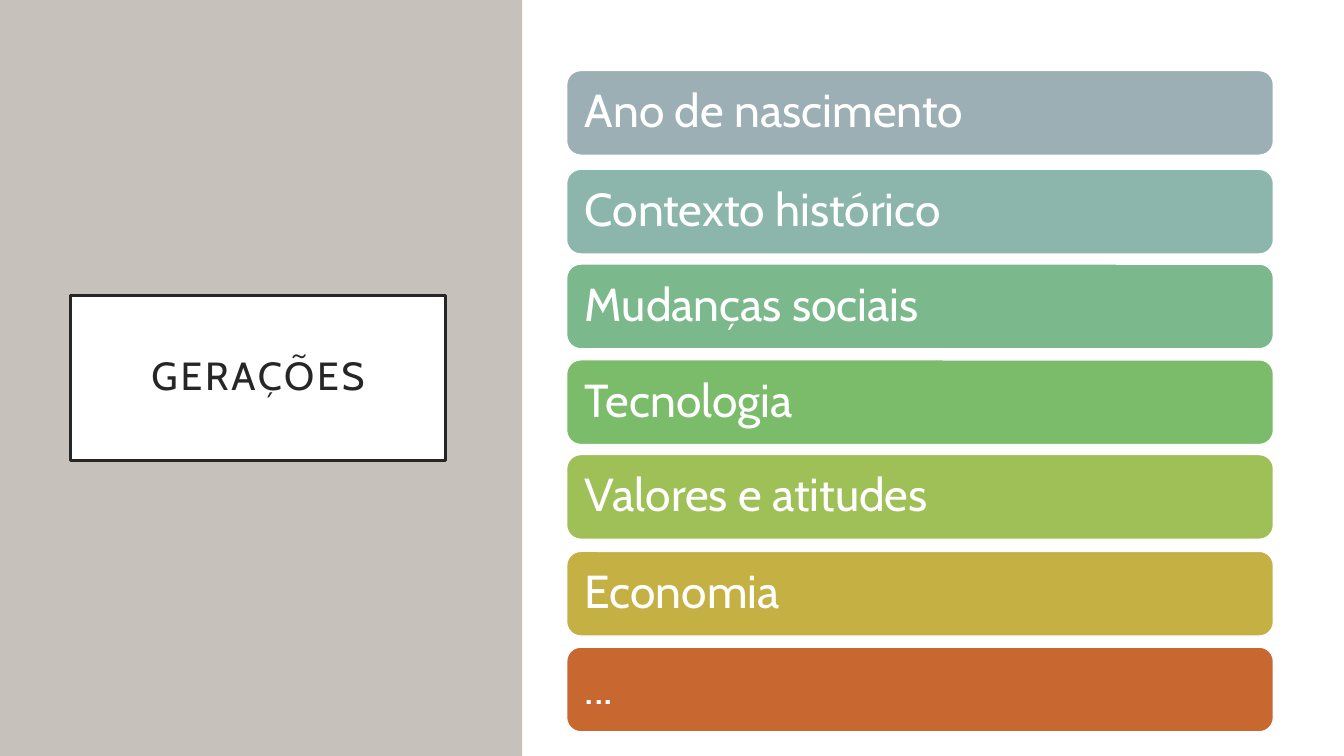
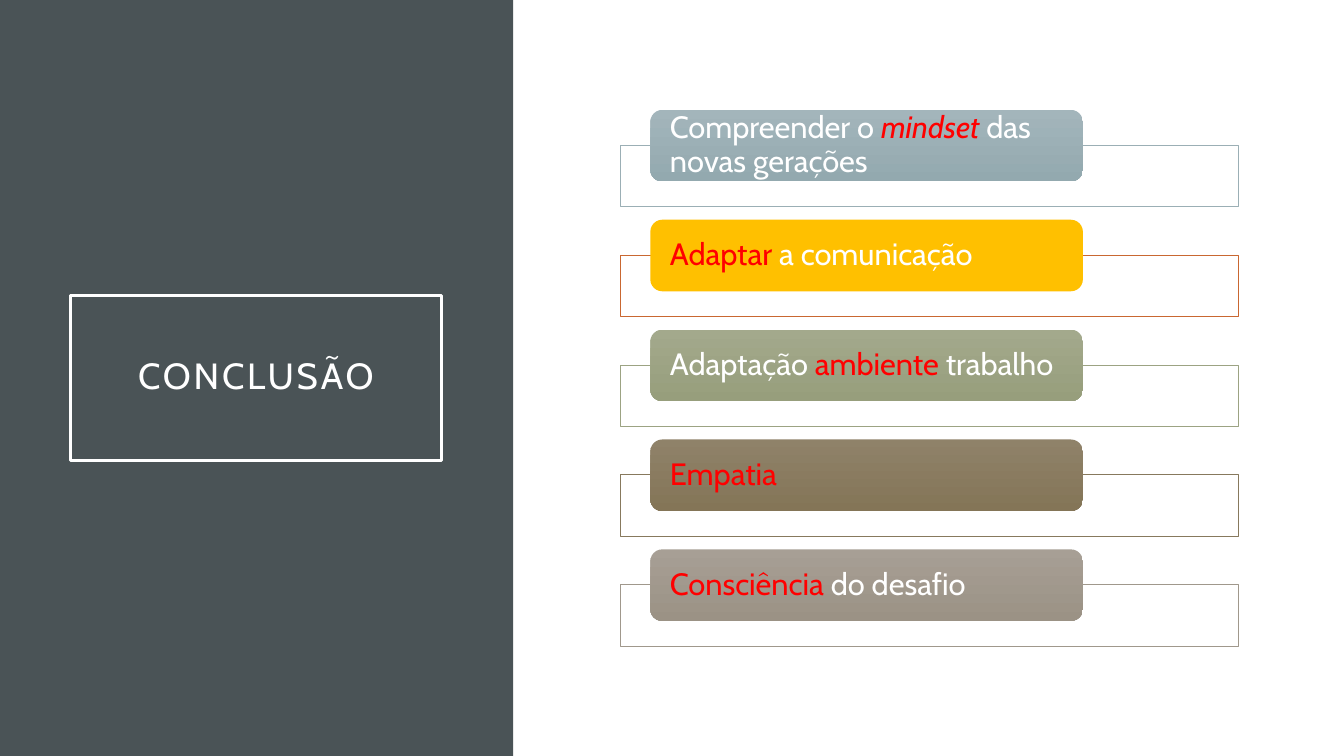
"""Build two slides, each with a title panel and a list of coloured bars."""
from pptx import Presentation
from pptx.dml.color import RGBColor
from pptx.enum import shapes, text
from pptx.util import Inches, Pt

FONT, WHITE, DARK, RED = "Cabin", "FFFFFF", "262626", "FF0000"
RECT, ROUND = shapes.MSO_SHAPE.RECTANGLE, shapes.MSO_SHAPE.ROUNDED_RECTANGLE


def add_box(slide, kind, at, fill, line=None, width=1):
    box = slide.shapes.add_shape(kind, *map(Inches, at))
    box.shadow.inherit = False
    if isinstance(fill, tuple):
        box.fill.gradient()
        box.fill.gradient_angle = 270
        for stop, tone in zip(box.fill.gradient_stops, fill):
            stop.color.rgb = RGBColor.from_string(tone)
    else:
        box.fill.solid()
        box.fill.fore_color.rgb = RGBColor.from_string(fill)
    if line:
        box.line.color.rgb = RGBColor.from_string(line)
        box.line.width = Pt(width)
    else:
        box.line.fill.background()
    return box


def write(box, runs, size, side, edge, align=text.PP_ALIGN.LEFT):
    frame = box.text_frame
    frame.word_wrap = True
    frame.auto_size = text.MSO_AUTO_SIZE.NONE
    frame.vertical_anchor = text.MSO_ANCHOR.MIDDLE
    frame.margin_left = frame.margin_right = Inches(side)
    frame.margin_top = frame.margin_bottom = Inches(edge)
    para = frame.paragraphs[0]
    para.alignment = align
    para.line_spacing = 0.9
    for words, tone, slant in runs:
        run = para.add_run()
        run.text = words
        run.font.name = FONT
        run.font.size = Pt(size)
        run.font.italic = slant
        run.font.color.rgb = RGBColor.from_string(tone)
    return para


deck = Presentation()
deck.slide_width, deck.slide_height = Inches(13.33), Inches(7.5)

heads = [
    ("GERAÇÕES", 28, DARK, WHITE, 3.72, "C6C1BA", 5.18),
    ("CONCLUSÃO", 26, WHITE, None, 3.68, "4A5356", 5.09),
]
slides = []
for words, size, ink, fill, wide, tone, span in heads:
    slide = deck.slides.add_slide(deck.slide_layouts[5])
    title = slide.shapes.title
    panel = add_box(slide, RECT, (0, 0, span, 7.5), tone)
    title.element.addprevious(panel.element)
    title.left, title.top = Inches(0.7), Inches(2.93)
    title.width, title.height = Inches(wide), Inches(1.64)
    if fill:
        title.fill.solid()
        title.fill.fore_color.rgb = RGBColor.from_string(fill)
    title.line.color.rgb = RGBColor.from_string(ink)
    title.line.width = Pt(2.5)
    para = write(title, [(words, ink, False)], size, 0.2, 0.2, text.PP_ALIGN.CENTER)
    para.runs[0].font._element.set("spc", "200")
    slides.append(slide)

topics = [
    ("Ano de nascimento", 0.7, "9BAFB5"),
    ("Contexto histórico", 1.68, "8CB6AC"),
    ("Mudanças sociais", 2.62, "7BB88C"),
    ("Tecnologia", 3.57, "7ABC69"),
    ("Valores e atitudes", 4.51, "9FC057"),
    ("Economia", 5.47, "C5B043"),
    ("...", 6.42, "C96731"),
]
for words, top, tone in topics:
    bar = add_box(slides[0], ROUND, (5.62, top, 7.01, 0.84), tone, WHITE)
    write(bar, [(words, WHITE, False)], 33, 0.14, 0.14)

points = [
    ("9BAFB5", ("A3B5BB", "93A9AF"),
     [("Compreender o ", WHITE, False), ("mindset", RED, True),
      (" das novas gerações", WHITE, False)]),
    ("C96731", "FFC000",
     [("Adaptar", RED, False), (" a comunicação", WHITE, False)]),
    ("9CA383", ("A3A98C", "979E7C"),
     [("Adaptação ", WHITE, False), ("ambiente", RED, False),
      (" trabalho", WHITE, False)]),
    ("87795D", ("8F8269", "847557"), [("Empatia", RED, False)]),
    ("A0988C", ("A79F95", "9B9285"),
     [("Consciência", RED, False), (" do desafio", WHITE, False)]),
]
for row, (line, fill, runs) in enumerate(points, 1):
    top = 1.09 * row
    add_box(slides[1], RECT, (6.15, top + 0.35, 6.13, 0.61), WHITE, line, 0.5)
    bar = add_box(slides[1], ROUND, (6.45, top, 4.29, 0.71), fill)
    write(bar, runs, 22, 0.16, 0)

deck.save("out.pptx")
